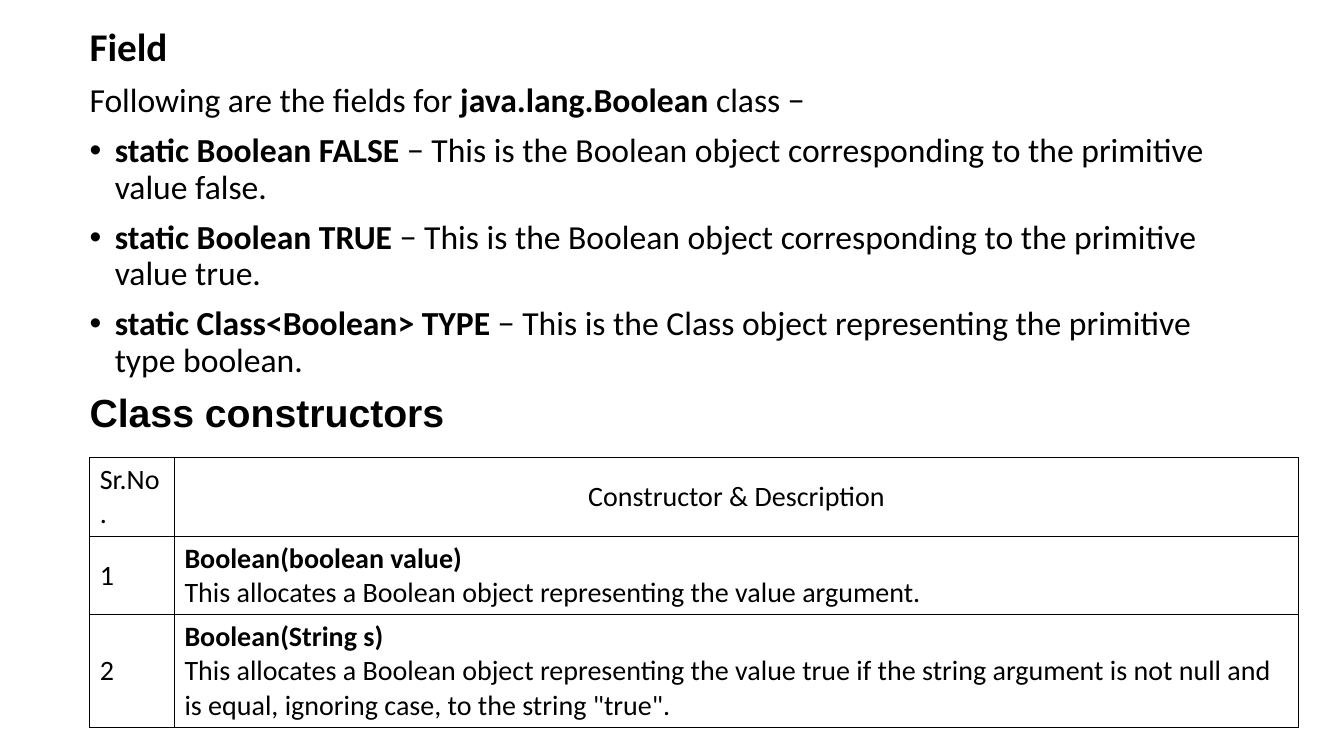
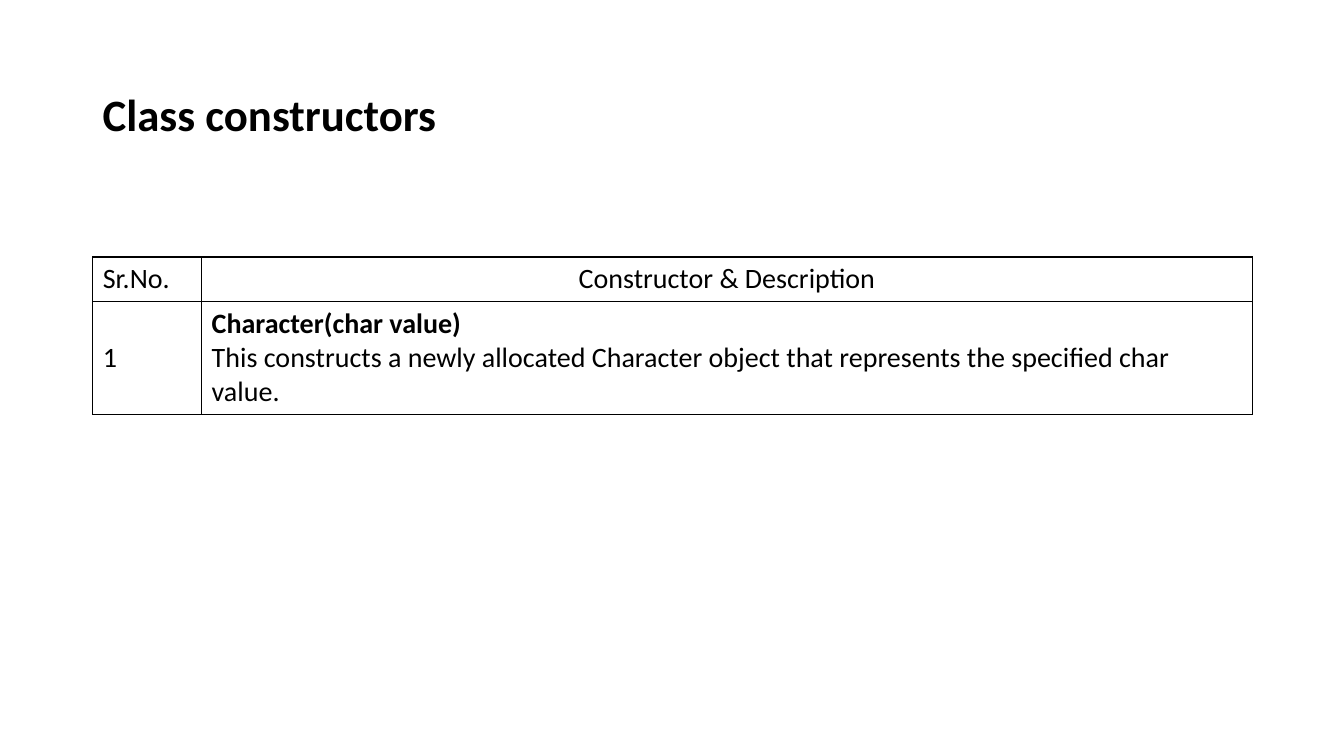
from lxml import etree
from pptx import Presentation
from pptx.dml.color import RGBColor
from pptx.enum.text import MSO_ANCHOR, PP_ALIGN
from pptx.oxml.ns import qn
from pptx.util import Inches, Pt

MIDDLE, TOP = MSO_ANCHOR.MIDDLE, MSO_ANCHOR.TOP
LEFT, CENTER = PP_ALIGN.LEFT, PP_ALIGN.CENTER
INK = "000000"
BODY_FONT, ACCENT_FONT = "Calibri", "Arial"
TABLE_SIZE, TEXT_SIZE, HEADING_SIZE, TITLE_SIZE = 20, 24, 28, 32
LINE_HEIGHT, CELL_PADDING = 0.34, 0.1
HEADERS = ("Sr.No.", "Constructor & Description")

FIELDS = [
    ("static Boolean FALSE",
     " − This is the Boolean object corresponding to the primitive value false."),
    ("static Boolean TRUE",
     " − This is the Boolean object corresponding to the primitive value true."),
    ("static Class<Boolean> TYPE",
     " − This is the Class object representing the primitive type boolean."),
]
BOOLEAN_CONSTRUCTORS = [
    ("Boolean(boolean value)",
     "This allocates a Boolean object representing the value argument."),
    ("Boolean(String s)",
     "This allocates a Boolean object representing the value true if the string argument "
     "is not null and is equal, ignoring case, to the string \"true\"."),
]
CHARACTER_CONSTRUCTORS = [
    ("Character(char value)",
     "This constructs a newly allocated Character object that represents the specified "
     "char value."),
]


def rgb(value):
    """Return the colour for a hex string."""
    return RGBColor.from_string(value)


def style_runs(paragraph, size, bold=None, font=BODY_FONT):
    """Format every run of a paragraph, leaving bold alone when it is None."""
    for run in paragraph.runs:
        run.font.size = Pt(size)
        run.font.name = font
        run.font.color.rgb = rgb(INK)
        if bold is not None:
            run.font.bold = bold


def add_text_frame(slide, box, anchor):
    """Add a wrapping text box and return its frame."""
    frame = slide.shapes.add_textbox(*map(Inches, box)).text_frame
    frame.word_wrap = True
    frame.vertical_anchor = anchor
    return frame


def add_bullet(paragraph):
    """Give a paragraph a hanging round bullet."""
    properties = paragraph._p.get_or_add_pPr()
    properties.set("marL", str(Inches(0.25)))
    properties.set("indent", str(-Inches(0.25)))
    etree.SubElement(properties, qn("a:buFont"), typeface=ACCENT_FONT)
    etree.SubElement(properties, qn("a:buChar"), char="•")


def write_body_line(paragraph, parts, size=TEXT_SIZE, font=BODY_FONT):
    """Fill a body paragraph with (text, bold) parts."""
    paragraph.line_spacing = 0.9
    paragraph.space_before = Pt(10)
    for text, bold in parts:
        run = paragraph.add_run()
        run.text = text
        run.font.bold = bold
    style_runs(paragraph, size, font=font)


def add_field_summary(slide, box):
    """Write the field list and the heading of the constructor table."""
    frame = add_text_frame(slide, box, TOP)
    write_body_line(frame.paragraphs[0], [("Field", True)], HEADING_SIZE)
    write_body_line(frame.add_paragraph(), [
        ("Following are the fields for ", False),
        ("java.lang.Boolean", True),
        (" class −", False),
    ])
    for field, meaning in FIELDS:
        paragraph = frame.add_paragraph()
        write_body_line(paragraph, [(field, True), (meaning, False)])
        add_bullet(paragraph)
    write_body_line(frame.add_paragraph(), [("Class constructors", True)],
                    HEADING_SIZE, ACCENT_FONT)


def add_title(slide, box, text):
    """Write a slide title."""
    frame = add_text_frame(slide, box, MIDDLE)
    frame.text = text
    style_runs(frame.paragraphs[0], TITLE_SIZE, True)


def outline_cell(cell):
    """Draw a thin border on all sides of an unfilled cell."""
    properties = cell._tc.get_or_add_tcPr()
    for side in ("a:lnL", "a:lnR", "a:lnT", "a:lnB"):
        line = etree.SubElement(properties, qn(side), w=str(Pt(1)))
        fill = etree.SubElement(line, qn("a:solidFill"))
        etree.SubElement(fill, qn("a:srgbClr"), val=INK)
    cell.fill.background()


def write_cell(cell, text, align=LEFT, bold_first=False):
    """Write a cell, with its first line in bold if asked."""
    outline_cell(cell)
    cell.vertical_anchor = MIDDLE
    cell.text = text
    for index, paragraph in enumerate(cell.text_frame.paragraphs):
        paragraph.alignment = align
        style_runs(paragraph, TABLE_SIZE, bold_first and index == 0)


def add_constructor_table(slide, left, top, widths, line_counts, constructors):
    """Add a numbered table of constructors, its rows sized by their lines."""
    heights = [CELL_PADDING + LINE_HEIGHT * count for count in line_counts]
    box = (left, top, sum(widths), sum(heights))
    table = slide.shapes.add_table(len(heights), len(widths), *map(Inches, box)).table
    table.first_row = table.horz_banding = False
    for column, width in zip(table.columns, widths):
        column.width = Inches(width)
    for row, height in zip(table.rows, heights):
        row.height = Inches(height)
    for column, (header, align) in enumerate(zip(HEADERS, (LEFT, CENTER))):
        write_cell(table.cell(0, column), header, align)
    for number, (signature, description) in enumerate(constructors, 1):
        write_cell(table.cell(number, 0), str(number))
        write_cell(table.cell(number, 1), f"{signature}\n{description}", bold_first=True)


def build_boolean_slide(slide):
    """Build the slide on the Boolean class."""
    add_field_summary(slide, (0.79, 0.22, 11.5, 7.08))
    add_constructor_table(slide, 0.89, 4.54, (0.84, 11.15), (2, 2, 3),
                          BOOLEAN_CONSTRUCTORS)


def build_character_slide(slide):
    """Build the slide on the Character class."""
    add_title(slide, (0.92, 0.4, 11.5, 1.45), "Class constructors")
    add_constructor_table(slide, 0.92, 2.55, (1.08, 10.42), (1, 3),
                          CHARACTER_CONSTRUCTORS)


def main():
    """Build and save the presentation."""
    presentation = Presentation()
    presentation.slide_width = Inches(13.33)
    presentation.slide_height = Inches(7.5)
    blank = presentation.slide_layouts[6]
    for build in (build_boolean_slide, build_character_slide):
        build(presentation.slides.add_slide(blank))
    presentation.save("out.pptx")


if __name__ == "__main__":
    main()
